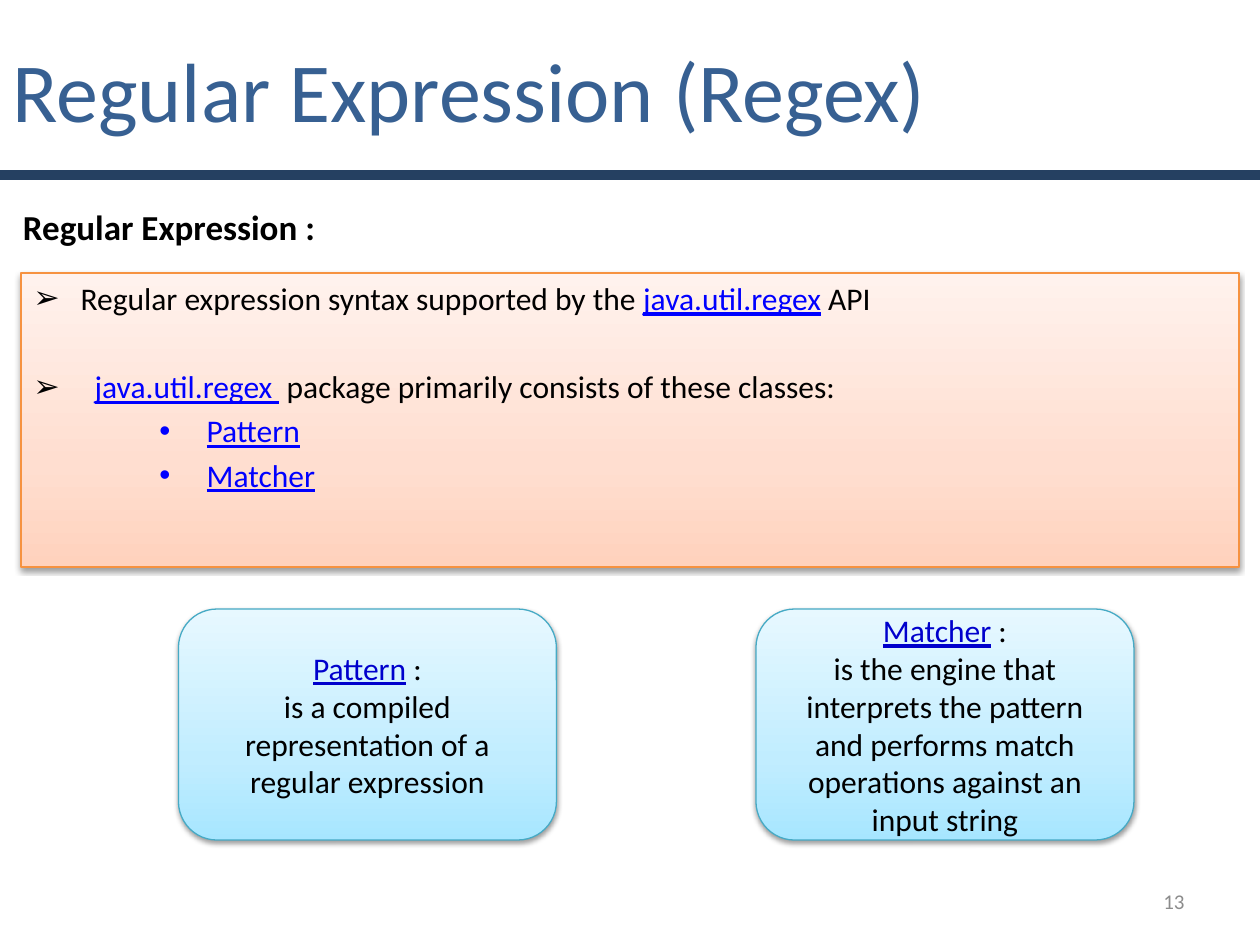
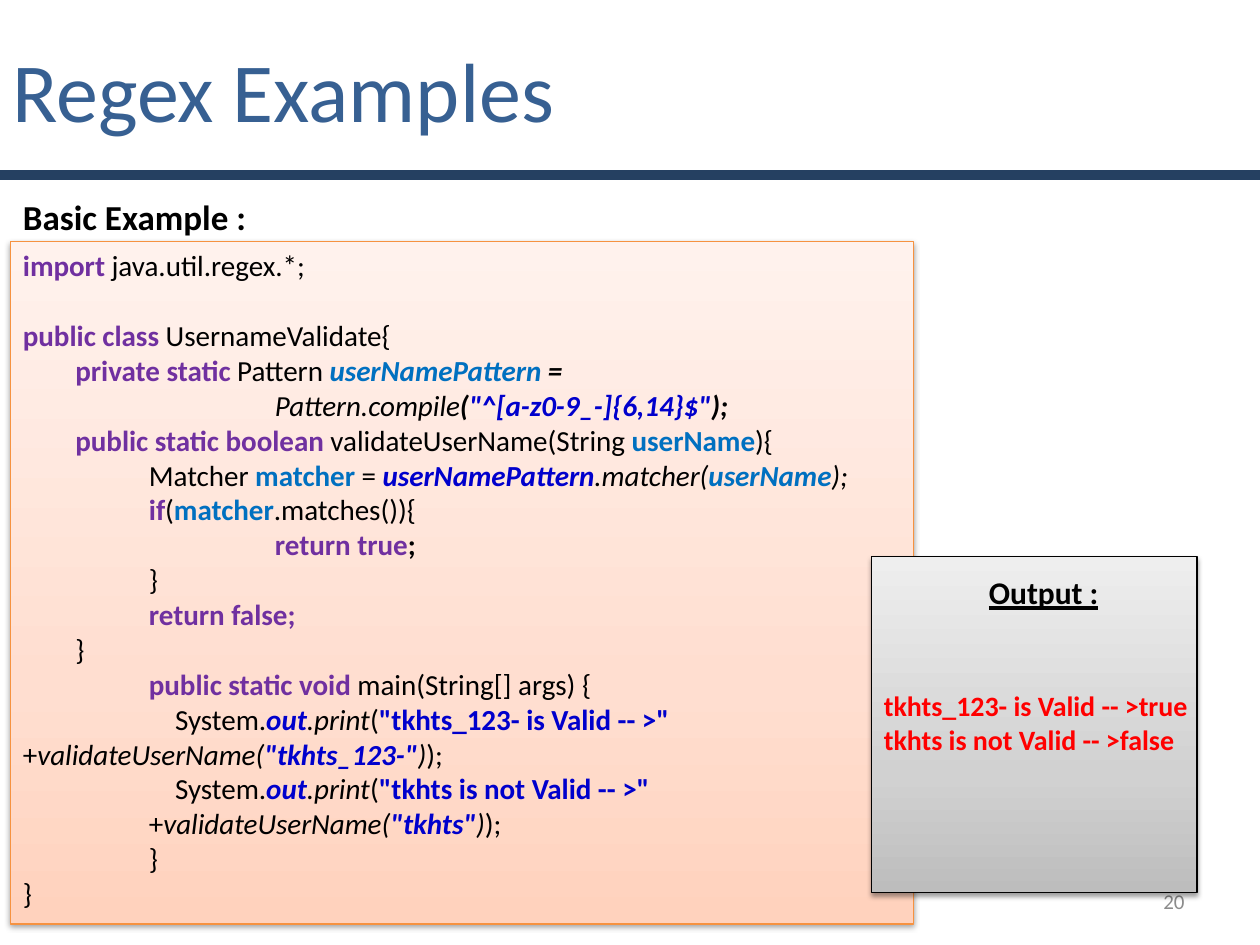
from copy import deepcopy

from lxml import etree
from pptx import Presentation
from pptx.dml.color import RGBColor
from pptx.enum.shapes import MSO_SHAPE
from pptx.enum.text import MSO_ANCHOR, PP_ALIGN
from pptx.oxml.ns import qn
from pptx.util import Pt

RECT, ROUNDED = MSO_SHAPE.RECTANGLE, MSO_SHAPE.ROUNDED_RECTANGLE
TOP, MIDDLE = MSO_ANCHOR.TOP, MSO_ANCHOR.MIDDLE
LEFT, CENTER, RIGHT = PP_ALIGN.LEFT, PP_ALIGN.CENTER, PP_ALIGN.RIGHT

FONT = "Calibri"
NAVY = RGBColor(0x25, 0x40, 0x61)
TITLE_BLUE = RGBColor(0x37, 0x60, 0x92)
BLACK = RGBColor(0, 0, 0)
GREY = RGBColor(0x8C, 0x8C, 0x8C)
RED = RGBColor(0xFF, 0, 0)
LINK_BLUE = RGBColor(0, 0, 0xFF)
DEEP_BLUE = RGBColor(0, 0, 0xCC)
SKY_BLUE = RGBColor(0, 0x70, 0xC0)
PURPLE = RGBColor(0x70, 0x30, 0xA0)
ORANGE = RGBColor(0xF6, 0x92, 0x40)
TEAL = RGBColor(0x46, 0xAA, 0xC5)

# Gradients run from the bottom of a panel to its top
STOPS = (0, 0.35, 1)
PEACH_FADE = [RGBColor.from_string(c) for c in ("FFD2BD", "FFDED0", "FFF2ED")]
AQUA_FADE = [RGBColor.from_string(c) for c in ("A7E6FF", "C1EDFF", "E7F8FF")]
GREY_FADE = [RGBColor.from_string(c) for c in ("BDBDBD", "D1D1D1", "EEEEEE")]

# Run styles: colour, then any of b(old), i(talic), u(nderlined)
PLAIN, SLANT = (BLACK, ""), (BLACK, "i")
BOLD, BOLD_SLANT = (BLACK, "b"), (BLACK, "bi")
KEYWORD = (PURPLE, "b")
VARIABLE, VARIABLE_SLANT = (SKY_BLUE, "b"), (SKY_BLUE, "bi")
STRING, STRING_SLANT = (DEEP_BLUE, "b"), (DEEP_BLUE, "bi")
LINK, CLASS_LINK = (LINK_BLUE, "u"), (DEEP_BLUE, "u")


def write(shape, lines, size, align=LEFT, anchor=TOP):
    """Fill a shape with lines, each a list of (text, style) runs."""
    frame = shape.text_frame
    frame.word_wrap = True
    frame.vertical_anchor = anchor
    for number, line in enumerate(lines):
        paragraph = frame.add_paragraph() if number else frame.paragraphs[0]
        paragraph.alignment = align
        for text, (color, marks) in line:
            run = paragraph.add_run()
            run.text = text
            run.font.name = FONT
            run.font.size = Pt(size)
            run.font.color.rgb = color
            run.font.bold = "b" in marks
            run.font.italic = "i" in marks
            run.font.underline = "u" in marks
    return frame.paragraphs


def add_panel(slide, kind, box, fade, outline):
    """Add a shape with a gradient, a thin outline and a soft shadow."""
    panel = slide.shapes.add_shape(kind, *map(Pt, box))
    panel.fill.gradient()
    panel.fill.gradient_angle = 90
    stop_list = panel.element.spPr.find(qn("a:gradFill")).find(qn("a:gsLst"))
    stop_list.insert(1, deepcopy(stop_list[0]))
    for stop, position, color in zip(panel.fill.gradient_stops, STOPS, fade):
        stop.position = position
        stop.color.rgb = color
    panel.line.color.rgb = outline
    panel.line.width = Pt(0.75)
    panel.shadow.inherit = False
    effects = panel.element.spPr.find(qn("a:effectLst"))
    shadow = etree.SubElement(effects, qn("a:outerShdw"), blurRad=str(Pt(3.1)),
                              dist=str(Pt(1.6)), dir="5400000", rotWithShape="0")
    tint = etree.SubElement(shadow, qn("a:srgbClr"), val="000000")
    etree.SubElement(tint, qn("a:alpha"), val="38000")
    return panel


deck = Presentation()
deck.slide_width, deck.slide_height = Pt(720), Pt(540)

# Parts that both slides share
slides = []
for title, heading, heading_top, page in [
    ("Regular Expression (Regex)", "Regular Expression :", 114, "13"),
    ("Regex Examples", "Basic Example :", 108, "20"),
]:
    slide = deck.slides.add_slide(deck.slide_layouts[6])
    slides.append(slide)
    band = slide.shapes.add_shape(RECT, Pt(0), Pt(98.2), Pt(720), Pt(3.6))
    band.fill.solid()
    band.fill.fore_color.rgb = NAVY
    band.line.color.rgb = NAVY
    band.line.width = Pt(2)
    band.shadow.inherit = False
    for text, box, size, style, align, anchor in [
        (title, (0, 0, 564, 102), 48, (TITLE_BLUE, ""), LEFT, MIDDLE),
        (heading, (6, heading_top, 696, 30), 20, BOLD, LEFT, TOP),
        (page, (516, 500.5, 168, 28.8), 12, (GREY, ""), RIGHT, MIDDLE),
    ]:
        label = slide.shapes.add_textbox(*map(Pt, box))
        paragraphs = write(label, [[(text, style)]], size, align, anchor)
        if text == heading:
            paragraphs[0].space_before = Pt(4)
overview, example = slides

# Overview: bulleted summary of the package
summary = add_panel(overview, RECT, (12, 156, 696, 168), PEACH_FADE, ORANGE)
bullets = write(summary, [
    [("Regular expression syntax supported by the ", PLAIN),
     ("java.util.regex", LINK), (" API", PLAIN)],
    [("java.util.regex ", LINK),
     (" package primarily consists of these classes:", PLAIN)],
    [("Pattern", LINK)],
    [("Matcher", LINK)],
], 18)
for bullet, (mark, color, margin, hang, gap) in zip(bullets, [
    ("➢", BLACK, 27, 27, 3.6), ("➢", BLACK, 35, 35, 28.8),
    ("•", LINK_BLUE, 99, 27, 3.6), ("•", LINK_BLUE, 99, 27, 3.6),
]):
    bullet.space_before = Pt(gap)
    properties = bullet._p.get_or_add_pPr()
    properties.set("marL", str(Pt(margin)))
    properties.set("indent", str(-Pt(hang)))
    bullet_color = etree.SubElement(properties, qn("a:buClr"))
    etree.SubElement(bullet_color, qn("a:srgbClr"), val=str(color))
    etree.SubElement(properties, qn("a:buFont"), typeface="Arial")
    etree.SubElement(properties, qn("a:buChar"), char=mark)

# Overview: one card for each class
for left, class_name, meaning in [
    (102, "Pattern", "is a compiled representation of a regular expression"),
    (432, "Matcher", "is the engine that interprets the pattern and performs "
                     "match operations against an input string"),
]:
    card = add_panel(overview, ROUNDED, (left, 348, 216, 132), AQUA_FADE, TEAL)
    write(card, [[(class_name, CLASS_LINK), (" :", PLAIN)], [(meaning, PLAIN)]],
          18, CENTER, MIDDLE)

# Example: code listing, each line with its indent
MEMBER, BODY, CALL, DEEP = 30, 72, 87, 144
code = [
    (0, [("import", KEYWORD), (" java.util.regex.*;", PLAIN)]),
    (0, [("public class", KEYWORD), (" UsernameValidate{", PLAIN)]),
    (MEMBER, [("private static ", KEYWORD), ("Pattern ", PLAIN),
              ("userNamePattern", VARIABLE_SLANT), (" =", BOLD_SLANT)]),
    (DEEP, [("Pattern.compile", SLANT), ("(", BOLD_SLANT),
            ('"^[a-z0-9_-]{6,14}$"', STRING_SLANT), (");", BOLD_SLANT)]),
    (MEMBER, [("public static boolean ", KEYWORD), ("validateUserName(String ", PLAIN),
              ("userName", VARIABLE), ("){", PLAIN)]),
    (BODY, [("Matcher ", PLAIN), ("matcher", VARIABLE), (" = ", PLAIN),
            ("userNamePattern", STRING_SLANT), (".matcher(", SLANT),
            ("userName", VARIABLE_SLANT), (");", SLANT)]),
    (BODY, [("if", KEYWORD), ("(", PLAIN), ("matcher", VARIABLE),
            (".matches()){", PLAIN)]),
    (DEEP, [("return true", KEYWORD), (";", BOLD)]),
    (BODY, [("}", PLAIN)]),
    (BODY, [("return false;", KEYWORD)]),
    (MEMBER, [("}", PLAIN)]),
    (BODY, [("public static void", KEYWORD), (" main(String[] args) {", PLAIN)]),
]
for message, argument, indent in [
    ('"tkhts_123- is Valid -- >"', '"tkhts_123-"', 0),
    ('"tkhts is not Valid -- >"', '"tkhts"', BODY),
]:
    code += [
        (CALL, [("System.", PLAIN), ("out", STRING_SLANT), (".print", SLANT),
                ("(", PLAIN), (message, STRING)]),
        (indent, [("+", PLAIN), ("validateUserName(", SLANT),
                  (argument, STRING_SLANT), (")", SLANT), (");", PLAIN)]),
    ]
code += [(BODY, [("}", PLAIN)]), (0, [("}", PLAIN)])]

listing = add_panel(example, RECT, (6, 138, 516, 390), PEACH_FADE, ORANGE)
code_lines = write(listing, [runs for _, runs in code], 16.6)
for code_line, (indent, _) in zip(code_lines, code):
    code_line._p.get_or_add_pPr().set("marL", str(Pt(indent)))
code_lines[1].space_before = Pt(20)

# Example: program output
add_panel(example, RECT, (498, 318, 186, 192), GREY_FADE, BLACK)
output_heading = example.shapes.add_textbox(Pt(558), Pt(324), Pt(84), Pt(51))
write(output_heading, [[("Output :", (BLACK, "bu"))]], 18)
output_text = example.shapes.add_textbox(Pt(498), Pt(390), Pt(192), Pt(46))
write(output_text, [[(result, (RED, "b"))] for result in (
    "tkhts_123- is Valid -- >true", "tkhts is not Valid -- >false")], 16)

deck.save("out.pptx")
